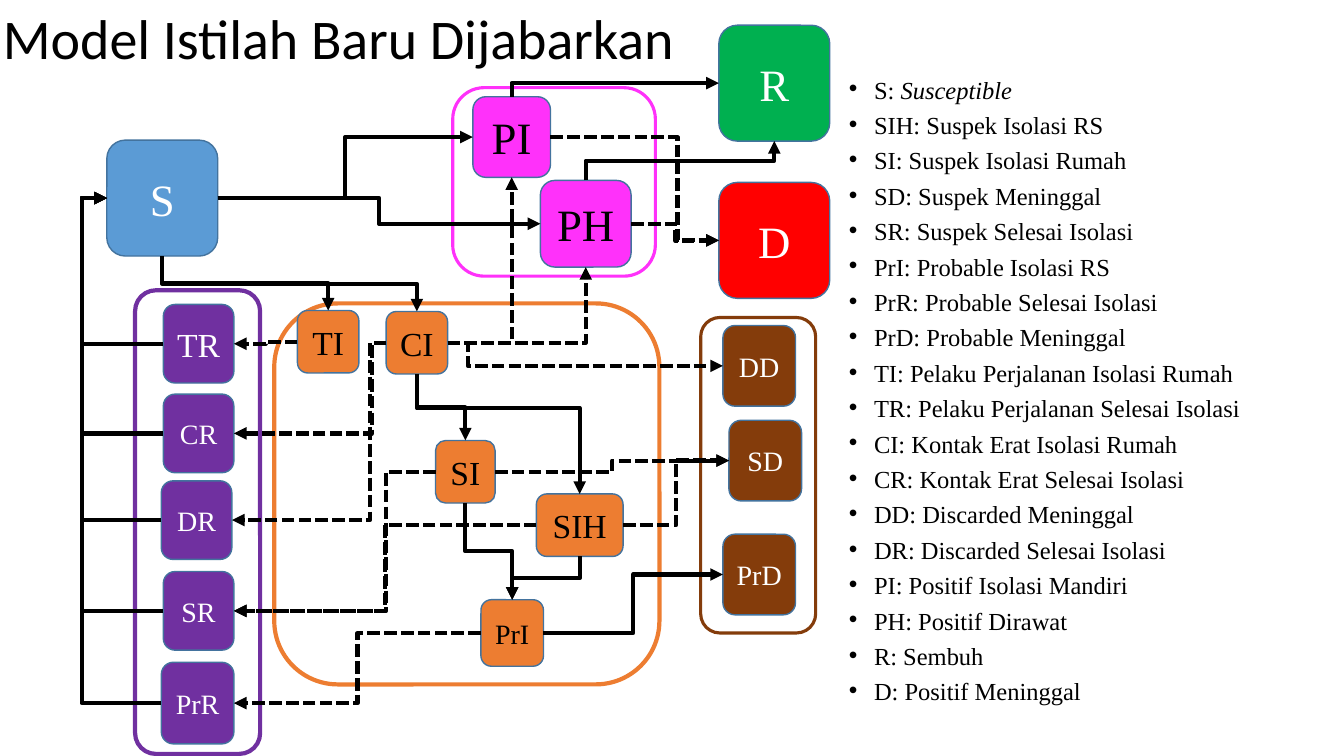
from pptx import Presentation
from pptx.dml.color import RGBColor
from pptx.enum.dml import MSO_LINE
from pptx.enum.shapes import MSO_CONNECTOR, MSO_SHAPE
from pptx.enum.text import MSO_ANCHOR, PP_ALIGN
from pptx.oxml.ns import qn
from pptx.util import Inches, Pt
from lxml import etree

ROUNDED, ELBOW = MSO_SHAPE.ROUNDED_RECTANGLE, MSO_CONNECTOR.ELBOW
DASH = MSO_LINE.SQUARE_DOT
CENTER, MIDDLE, TOP_ANCHOR = PP_ALIGN.CENTER, MSO_ANCHOR.MIDDLE, MSO_ANCHOR.TOP
TOP, LEFT, BOTTOM, RIGHT = range(4)  # connection sites of a rounded rectangle
SERIF = "Times New Roman"
WHITE, BLACK, EDGE = "FFFFFF", "000000", "43739E"
PURPLE, PINK, ORANGE, BROWN = "7030A0", "FF31FA", "ED7D31", "843C0B"

# left, top, width, height, outline, outline width
FRAMES = [
    (6.95, 3.15, 1.14, 3.13, BROWN, 2.25),
    (1.34, 2.88, 1.24, 4.6, PURPLE, 3),
    (4.49, 0.87, 2.01, 1.87, PINK, 2.25),
    (2.72, 3.01, 3.82, 3.78, ORANGE, 3),
]
# name: left, top, width, height, fill, text size, text colour
STATES = {
    "S": (1.06, 1.39, 1.1, 1.15, "5B9BD5", 32, WHITE),
    "R": (7.13, 0.25, 1.1, 1.15, "00B050", 32, WHITE),
    "D": (7.13, 1.81, 1.1, 1.15, "FF0000", 32, WHITE),
    "PI": (4.69, 0.96, 0.77, 0.8, PINK, 32, BLACK),
    "PH": (5.36, 1.79, 0.9, 0.86, PINK, 32, BLACK),
    "TI": (2.95, 3.08, 0.61, 0.62, ORANGE, 24, BLACK),
    "CI": (3.83, 3.09, 0.61, 0.62, ORANGE, 24, BLACK),
    "SI": (4.32, 4.37, 0.59, 0.62, ORANGE, 24, BLACK),
    "SIH": (5.32, 4.9, 0.86, 0.62, ORANGE, 24, BLACK),
    "PrI": (4.77, 5.95, 0.62, 0.66, ORANGE, 20, BLACK),
    "TR": (1.62, 3.02, 0.7, 0.78, PURPLE, 24, WHITE),
    "CR": (1.62, 3.91, 0.7, 0.78, PURPLE, 20, WHITE),
    "DR": (1.6, 4.77, 0.7, 0.78, PURPLE, 20, WHITE),
    "SR": (1.62, 5.67, 0.7, 0.78, PURPLE, 20, WHITE),
    "PrR": (1.6, 6.57, 0.72, 0.81, PURPLE, 20, WHITE),
    "DD": (7.17, 3.23, 0.72, 0.8, BROWN, 20, WHITE),
    "SD": (7.23, 4.17, 0.72, 0.8, BROWN, 20, WHITE),
    "PrD": (7.17, 5.3, 0.72, 0.8, BROWN, 20, WHITE),
}
# from, side, to, side, position of the bend (None: halfway)
SOLID_FLOWS = [
    ("S", BOTTOM, "TI", TOP, None), ("S", BOTTOM, "CI", TOP, None),
    ("S", RIGHT, "PI", LEFT, None), ("S", RIGHT, "PH", LEFT, None),
    ("PI", TOP, "R", LEFT, None), ("PH", TOP, "R", BOTTOM, None),
    ("CI", BOTTOM, "SI", TOP, None), ("CI", BOTTOM, "SIH", TOP, 4.05),
    ("SI", BOTTOM, "PrI", TOP, None), ("SIH", BOTTOM, "PrI", TOP, None),
    ("PrI", RIGHT, "PrD", LEFT, None),
] + [(name, LEFT, "S", LEFT, 0.81) for name in ("TR", "CR", "DR", "SR", "PrR")]
DASHED_FLOWS = [
    ("TI", LEFT, "TR", RIGHT, None), ("CI", LEFT, "CR", RIGHT, 3.69),
    ("CI", LEFT, "DR", RIGHT, 3.67), ("CI", RIGHT, "PI", BOTTOM, None),
    ("CI", RIGHT, "PH", BOTTOM, None), ("CI", RIGHT, "DD", LEFT, 4.64),
    ("SI", LEFT, "SR", RIGHT, 3.83), ("SIH", LEFT, "SR", RIGHT, None),
    ("PrI", LEFT, "PrR", RIGHT, None), ("SI", RIGHT, "SD", LEFT, None),
    ("SIH", RIGHT, "SD", LEFT, None), ("PI", RIGHT, "D", LEFT, 6.72),
    ("PH", RIGHT, "D", LEFT, None),
]
LEGEND = [
    ("S", "Susceptible"), ("SIH", "Suspek Isolasi RS"),
    ("SI", "Suspek Isolasi Rumah"), ("SD", "Suspek Meninggal"),
    ("SR", "Suspek Selesai Isolasi"), ("PrI", "Probable Isolasi RS"),
    ("PrR", "Probable Selesai Isolasi"), ("PrD", "Probable Meninggal"),
    ("TI", "Pelaku Perjalanan Isolasi Rumah"),
    ("TR", "Pelaku Perjalanan Selesai Isolasi"),
    ("CI", "Kontak Erat Isolasi Rumah"), ("CR", "Kontak Erat Selesai Isolasi"),
    ("DD", "Discarded Meninggal"), ("DR", "Discarded Selesai Isolasi"),
    ("PI", "Positif Isolasi Mandiri"), ("PH", "Positif Dirawat"),
    ("R", "Sembuh"), ("D", "Positif Meninggal"),
]


def rgb(value):
    return RGBColor.from_string(value)


def add_run(p, text, size, color=BLACK, font=SERIF, italic=False):
    r = p.add_run()
    r.text = text
    r.font.name, r.font.size, r.font.italic = font, Pt(size), italic
    r.font.color.rgb = rgb(color)


def add_box(slide, left, top, width, height, fill, line, weight):
    sp = slide.shapes.add_shape(ROUNDED, *map(Inches, (left, top, width, height)))
    sp.shadow.inherit = False
    sp.fill.solid()
    sp.fill.fore_color.rgb = rgb(fill)
    sp.line.color.rgb = rgb(line)
    sp.line.width = Pt(weight)
    return sp


def add_state(slide, name, left, top, width, height, fill, size, color):
    sp = add_box(slide, left, top, width, height, fill, EDGE, 1)
    tf = sp.text_frame
    tf.word_wrap = False
    tf.vertical_anchor = MIDDLE
    p = tf.paragraphs[0]
    p.alignment = CENTER
    add_run(p, name, size, color)
    return sp


def add_text_frame(slide, left, top, width, height, anchor):
    tf = slide.shapes.add_textbox(*map(Inches, (left, top, width, height))).text_frame
    tf.word_wrap = True
    tf.vertical_anchor = anchor
    return tf


def add_flow(slide, src, src_side, dst, dst_side, bend, dashed):
    cx = slide.shapes.add_connector(ELBOW, 0, 0, 0, 0)
    cx.begin_connect(src, src_side)
    cx.end_connect(dst, dst_side)
    x1, y1, x2, y2 = cx.begin_x, cx.begin_y, cx.end_x, cx.end_y
    dx, dy = x2 - x1, y2 - y1
    vertical = src_side in (TOP, BOTTOM)

    # Turn the elbow so that it leaves the source on the chosen side
    if vertical:
        width, height = abs(dy), abs(dx)
        turn = 270 if dx > 0 and dy > 0 else 90
        flip_h, flip_v = dx > 0, dy < 0
    else:
        width, height = abs(dx), abs(dy)
        turn = 0 if dx > 0 else 180
        flip_h, flip_v = False, (dy < 0) == (dx > 0)
    cx.width, cx.height = width, height
    cx.left, cx.top = (x1 + x2 - width) // 2, (y1 + y2 - height) // 2
    cx.rotation = turn
    spPr = cx._element.spPr
    xfrm = spPr.find(qn("a:xfrm"))
    xfrm.set("flipH", str(int(flip_h)))
    xfrm.set("flipV", str(int(flip_v)))

    # One corner when the sides are at right angles, otherwise two
    geom = spPr.find(qn("a:prstGeom"))
    if vertical != (dst_side in (TOP, BOTTOM)):
        geom.set("prst", "bentConnector2")
    elif bend is not None:
        start, span = (y1, dy) if vertical else (x1, dx)
        ratio = round((Inches(bend) - start) / span * 100000)
        guides = geom.get_or_add_avLst()
        etree.SubElement(guides, qn("a:gd"), name="adj1", fmla=f"val {ratio}")

    cx.line.color.rgb = rgb(BLACK)
    cx.line.width = Pt(3)
    if dashed:
        cx.line.dash_style = DASH
    etree.SubElement(cx.line._get_or_add_ln(), qn("a:tailEnd"), type="triangle")
    etree.SubElement(spPr, qn("a:effectLst"))


def add_legend(slide):
    tf = add_text_frame(slide, 8.32, 0.77, 4.92, 6.41, TOP_ANCHOR)
    for i, (name, meaning) in enumerate(LEGEND):
        p = tf.add_paragraph() if i else tf.paragraphs[0]
        p.line_spacing, p.space_before = 0.7, Pt(10.6)
        pPr = p._p.get_or_add_pPr()
        pPr.set("marL", str(Inches(0.25)))
        pPr.set("indent", str(Inches(-0.25)))
        etree.SubElement(pPr, qn("a:buFont"), typeface="Arial")
        etree.SubElement(pPr, qn("a:buChar"), char="•")
        add_run(p, f"{name}: ", 17.5)
        add_run(p, meaning, 17.5, italic=name == "S")


def main():
    prs = Presentation()
    prs.slide_width, prs.slide_height = Inches(13.33), Inches(7.5)
    slide = prs.slides.add_slide(prs.slide_layouts[6])

    # Group frames
    for left, top, width, height, line, weight in FRAMES:
        add_box(slide, left, top, width, height, WHITE, line, weight)

    # Title and legend
    p = add_text_frame(slide, -0.07, 0, 12.79, 0.83, MIDDLE).paragraphs[0]
    p.line_spacing = 0.9
    add_run(p, "Model Istilah Baru Dijabarkan", 40, font="Calibri")
    add_legend(slide)

    # States and the flows between them
    boxes = {name: add_state(slide, name, *look) for name, look in STATES.items()}
    for flows, dashed in ((SOLID_FLOWS, False), (DASHED_FLOWS, True)):
        for src, src_side, dst, dst_side, bend in flows:
            add_flow(slide, boxes[src], src_side, boxes[dst], dst_side, bend, dashed)

    prs.save("out.pptx")


main()
